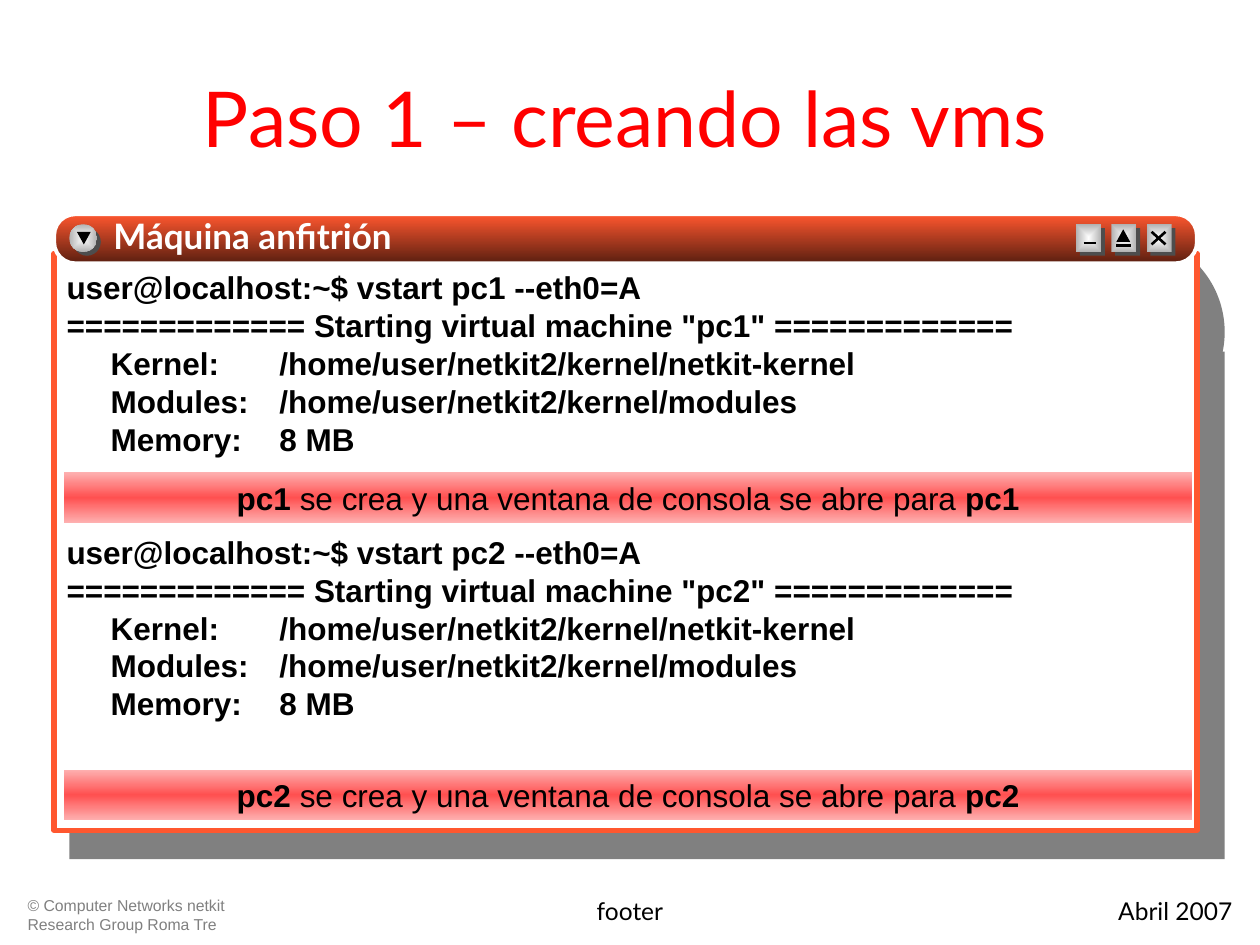
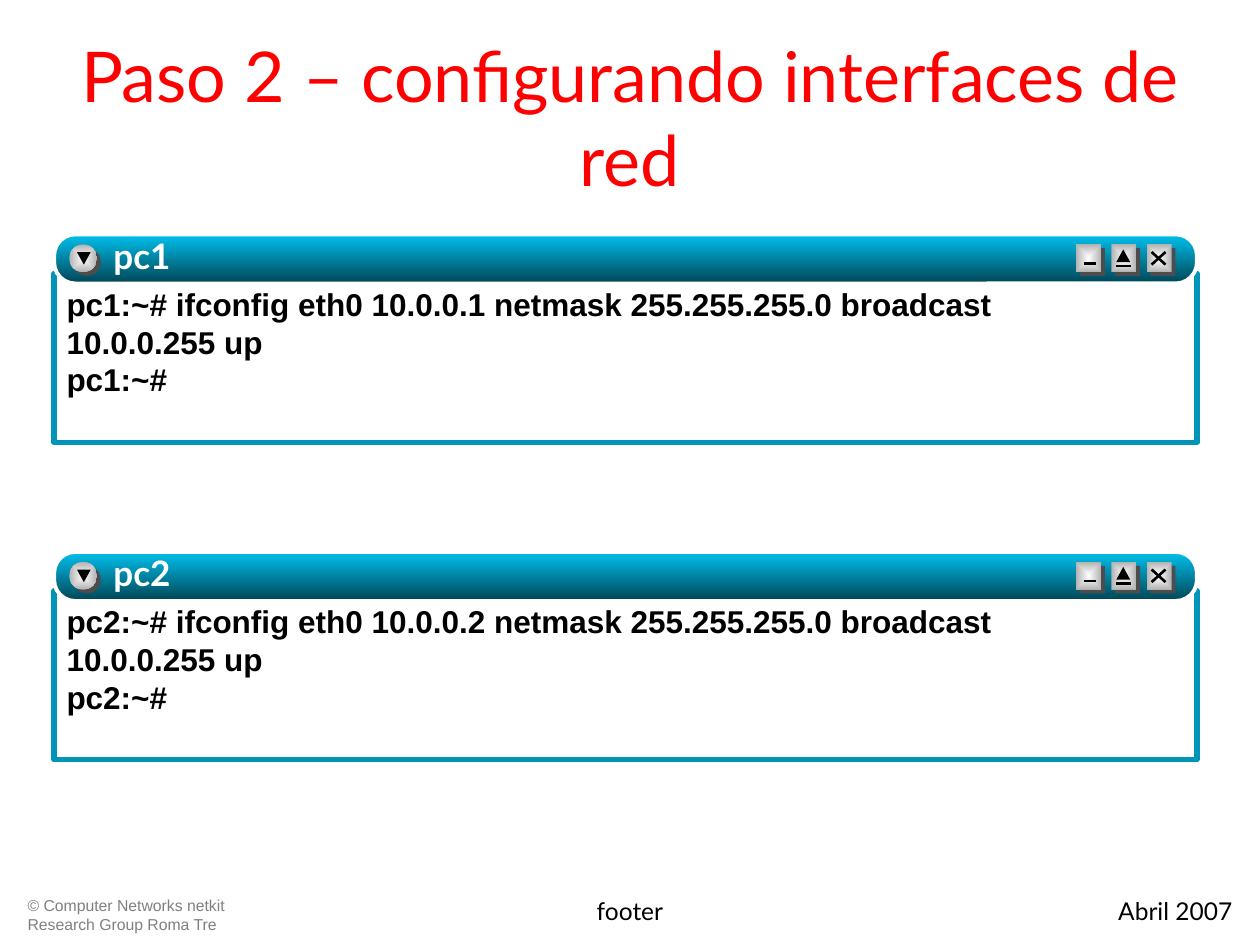
import pptx
import pptx.dml.color
import pptx.enum.shapes
import pptx.enum.text
import pptx.oxml
import pptx.oxml.ns
import pptx.util
from dataclasses import dataclass

Inches, Pt = pptx.util.Inches, pptx.util.Pt
RGB = pptx.dml.color.RGBColor.from_string
SHAPE = pptx.enum.shapes.MSO_SHAPE
ALIGN = pptx.enum.text.PP_ALIGN
ANCHOR = pptx.enum.text.MSO_ANCHOR
qn = pptx.oxml.ns.qn
NS = pptx.oxml.ns.nsdecls("a")


@dataclass(frozen=True)
class Theme:
    heading: str = "Lato"
    body: str = "Arial"
    title: str = "FF0000"
    black: str = "000000"
    white: str = "FFFFFF"
    grey: str = "808080"
    button_shade: str = "4D4D4D"
    button: tuple = ("FEFEFE", "B2B2B2")
    banner: tuple = ("FEB0B0", "FF5050", "FEB0B0")
    host_line: str = "FF572F"
    host_bar: tuple = ("FF572F", "5B1F10")
    guest_line: str = "0095B8"
    guest_bar: tuple = ("00C1EE", "004555")
    bar_size: int = 20
    text_size: int = 18
    footer_size: int = 14
    small_size: int = 9
    leading: float = 1.2


T = Theme()


def add_shape(s, kind, box, fill, line=None, width=0, path='<a:lin ang="5400000" scaled="0"/>'):
    """Draw a preset shape; fill is one colour or a tuple of gradient colours."""
    sp = s.shapes.add_shape(kind, *map(Inches, box))
    sp.shadow.inherit = False
    if isinstance(fill, str):
        sp.fill.solid()
        sp.fill.fore_color.rgb = RGB(fill)
    else:
        sp.fill.background()
        stops = "".join(
            f'<a:gs pos="{100000 * i // (len(fill) - 1)}"><a:srgbClr val="{c}"/></a:gs>'
            for i, c in enumerate(fill))
        grad = pptx.oxml.parse_xml(
            f'<a:gradFill {NS} rotWithShape="1"><a:gsLst>{stops}</a:gsLst>{path}</a:gradFill>')
        spPr = sp._element.spPr
        spPr.replace(spPr.find(qn("a:noFill")), grad)
    if line:
        sp.line.color.rgb = RGB(line)
        sp.line.width = Pt(width)
    else:
        sp.line.fill.background()
    return sp


def write(sp, lines, size, font, color, bold=False, align=ALIGN.LEFT,
          anchor=ANCHOR.TOP, insets=(0.1, 0.05, 0.1, 0.05)):
    """Fill a shape with paragraphs; a line is a string or a list of (text, bold) runs."""
    tf = sp.text_frame
    frame = {"word_wrap": True, "vertical_anchor": anchor}
    frame |= dict(zip(("margin_left", "margin_top", "margin_right", "margin_bottom"),
                      map(Inches, insets)))
    for name, value in frame.items():
        setattr(tf, name, value)
    for i, line in enumerate(lines):
        p = tf.add_paragraph() if i else tf.paragraphs[0]
        p.alignment = align
        p.line_spacing = Pt(T.leading * size)
        for text, weight in [(line, bold)] if isinstance(line, str) else line:
            r = p.add_run()
            r.text = text
            for name, value in {"size": Pt(size), "name": font, "bold": weight}.items():
                setattr(r.font, name, value)
            r.font.color.rgb = RGB(color)
    return tf


def vstart_log(pc):
    return [f"user@localhost:~$ vstart {pc} --eth0=A",
            f'============= Starting virtual machine "{pc}" =============',
            "\tKernel:\t/home/user/netkit2/kernel/netkit-kernel",
            "\tModules:\t/home/user/netkit2/kernel/modules",
            "\tMemory:\t8 MB"]


def ifconfig_log(pc, address):
    return [f"{pc}:~# ifconfig eth0 {address} netmask 255.255.255.0 broadcast",
            "10.0.0.255 up", f"{pc}:~#"]


prs = pptx.Presentation()
prs.slide_width, prs.slide_height = Inches(10), Inches(7.5)

# Titles and footers
footers = [
    ((0.12, 7.06, 1.89, 0.36), ["© Computer Networks netkit", "Research Group Roma Tre"],
     T.small_size, T.body, T.grey, ALIGN.LEFT),
    ((2.56, 7.06, 4.88, 0.36), ["footer"], T.footer_size, T.heading, T.black, ALIGN.CENTER),
    ((7.6, 7.06, 2.28, 0.36), ["Abril 2007"], T.footer_size, T.heading, T.black, ALIGN.RIGHT),
]
titles = [("Paso 1 – creando las vms", (0.2, 0.3, 9.53, 1.25), 44),
          ("Paso 2 – configurando interfaces de red", (0.5, 0.3, 9, 1.25), 40)]
slides = []
for title, box, size in titles:
    s = prs.slides.add_slide(prs.slide_layouts[6])
    slides.append(s)
    tb = s.shapes.add_textbox(*map(Inches, box))
    write(tb, [title], size, T.heading, T.title, align=ALIGN.CENTER, anchor=ANCHOR.MIDDLE)
    for box, lines, size, font, color, align in footers:
        tb = s.shapes.add_textbox(*map(Inches, box))
        write(tb, lines, size, font, color, align=align)
host, guests = slides

# Drop shadow of the host window
add_shape(host, SHAPE.RECTANGLE, (0.55, 2.79, 9.17, 4.03), T.grey)
sp = add_shape(host, SHAPE.ROUNDED_RECTANGLE, (0.55, 1.86, 9.17, 1.55), T.grey)
sp.adjustments[0] = 0.5

# Terminal windows: slide, name, top, body height, top inset, colours, log
windows = [
    (host, "Máquina anfitrión", 1.7, 4.58, 0.12, T.host_line, T.host_bar,
     vstart_log("pc1") + vstart_log("pc2")),
    (guests, "pc1", 1.86, 1.34, 0.09, T.guest_line, T.guest_bar, ifconfig_log("pc1", "10.0.0.1")),
    (guests, "pc2", 4.38, 1.34, 0.09, T.guest_line, T.guest_bar, ifconfig_log("pc2", "10.0.0.2")),
]
# Buttons: shape, left, width
buttons = [(SHAPE.OVAL, 0.55, 0.22), (SHAPE.RECTANGLE, 8.54, 0.2),
           (SHAPE.RECTANGLE, 8.82, 0.2), (SHAPE.RECTANGLE, 9.1, 0.2)]
# Button strokes, y measured from the top of the window
strokes = [(8.6, 0.23, 8.7, 0.23), (8.86, 0.25, 8.98, 0.25),
           (9.14, 0.24, 9.25, 0.14), (9.14, 0.14, 9.25, 0.24)]
triangles = [(0.61, 0.14, 180), (8.86, 0.12, 0)]
to_centre = ('<a:path path="rect">'
             '<a:fillToRect l="50000" t="50000" r="50000" b="50000"/></a:path>')

for s, name, top, height, inset, line, bar, log in windows:
    sp = add_shape(s, SHAPE.RECTANGLE, (0.43, top + 0.31, 9.07, height), T.white, line, 3)
    tf = write(sp, log, T.text_size, T.body, T.black, bold=True, insets=(0.1, inset, 0.1, 0.05))
    for i, p in enumerate(tf.paragraphs):
        if "\t" in p.text:
            tabs = "".join(f'<a:tab pos="{Inches(x)}" algn="l"/>' for x in (0.35, 1.69))
            p._p.get_or_add_pPr().append(
                pptx.oxml.parse_xml(f"<a:tabLst {NS}>{tabs}</a:tabLst>"))
        elif i and p.text.startswith("user@"):
            p.space_before = Pt(2 * T.leading * T.text_size)

    sp = add_shape(s, SHAPE.ROUNDED_RECTANGLE, (0.43, top, 9.07, 0.39), bar, T.white, 2.25)
    sp.adjustments[0] = 0.43
    for kind, left, width in buttons:
        add_shape(s, kind, (left + 0.03, top + 0.11, width, 0.22), T.button_shade)
        add_shape(s, kind, (left, top + 0.08, width, 0.22), T.button, path=to_centre)
    for x1, y1, x2, y2 in strokes:
        cx = s.shapes.add_connector(pptx.enum.shapes.MSO_CONNECTOR.STRAIGHT,
                                    *map(Inches, (x1, top + y1, x2, top + y2)))
        cx.line.color.rgb = RGB(T.black)
        cx.line.width = Pt(1.5)
        cx._element.spPr.append(pptx.oxml.parse_xml(f"<a:effectLst {NS}/>"))
    for x, y, angle in triangles:
        sp = add_shape(s, SHAPE.ISOSCELES_TRIANGLE, (x, top + y, 0.11, 0.1), T.black)
        sp.rotation = angle

    tb = s.shapes.add_textbox(*map(Inches, (0.9, top, 4.91, 0.39)))
    tf = write(tb, [name], T.bar_size, T.heading, T.white, bold=True, insets=(0, 0, 0, 0))
    rPr = tf.paragraphs[0].runs[0]._r.get_or_add_rPr()
    rPr.find(qn("a:solidFill")).addnext(pptx.oxml.parse_xml(
        f'<a:effectLst {NS}><a:outerShdw dist="17961" dir="2700000">'
        f'<a:srgbClr val="{T.black}"/></a:outerShdw></a:effectLst>'))

# Banners over the host terminal
for pc, top in (("pc1", 3.75), ("pc2", 6.11)):
    sp = add_shape(host, SHAPE.RECTANGLE, (0.51, top, 8.95, 0.4), T.banner)
    runs = [(f"{pc} ", True), ("se crea y una ventana de consola se abre para ", False), (pc, True)]
    write(sp, [runs], T.text_size, T.body, T.black, align=ALIGN.CENTER)

prs.save("out.pptx")
